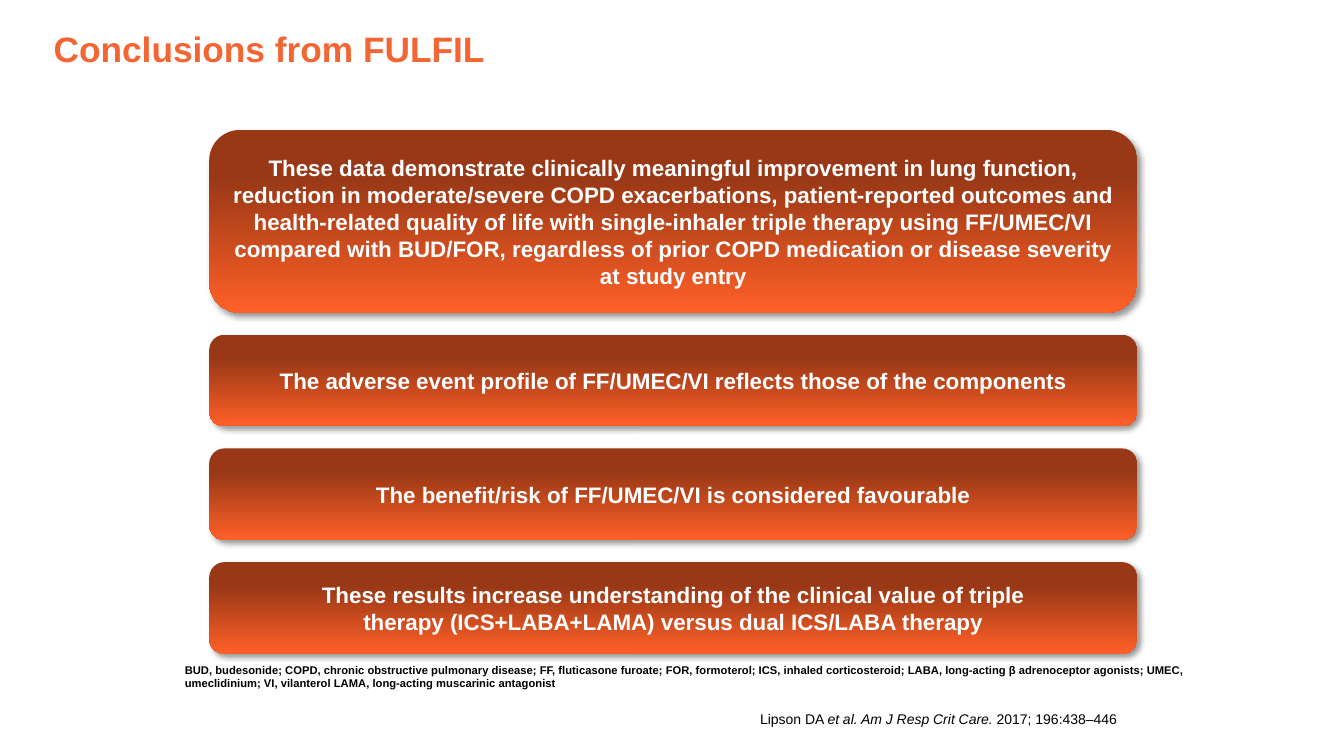
import pptx
import pptx.dml.color
import pptx.enum.shapes
import pptx.enum.text
import pptx.oxml.ns
import pptx.util
from lxml import etree

Pt = pptx.util.Pt
ALIGN = pptx.enum.text.PP_ALIGN
ANCHOR = pptx.enum.text.MSO_ANCHOR
qn = pptx.oxml.ns.qn

COLORS = {
    "title": "F36633",
    "dark": "993816",
    "bright": "FF6027",
    "light": "FFFFFF",
    "ink": "000000",
}


def rgb(name):
    return pptx.dml.color.RGBColor.from_string(COLORS[name])


def write(box, *spans, size, color="ink", bold=False, align=ALIGN.LEFT, anchor=ANCHOR.TOP,
          margins=(7.2, 3.6), line_spacing=None):
    """Fill the box with one paragraph; a span is a (text, italic) pair, "\n" breaks the line."""
    frame = box.text_frame
    frame.word_wrap = True
    frame.vertical_anchor = anchor
    frame.margin_left = frame.margin_right = Pt(margins[0])
    frame.margin_top = frame.margin_bottom = Pt(margins[1])
    para = frame.paragraphs[0]
    para.alignment = align
    para.line_spacing = line_spacing
    for text, italic in spans:
        for number, line in enumerate(text.split("\n")):
            if number:
                para.add_line_break()
            span = para.add_run()
            span.text = line
            font = span.font
            font.name, font.size = "Arial", Pt(size)
            font.bold, font.italic = bold, italic
            font.color.rgb = rgb(color)


class ConclusionPage:
    def __init__(self, deck):
        self.page = deck.slides.add_slide(deck.slide_layouts[6])

    def label(self, left, top, width, height, *spans, **style):
        box = self.page.shapes.add_textbox(Pt(left), Pt(top), Pt(width), Pt(height))
        write(box, *spans, **style)

    def panel(self, left, top, width, height, text):
        """Rounded box with a gradient, a soft shadow and centred text."""
        box = self.page.shapes.add_shape(
            pptx.enum.shapes.MSO_SHAPE.ROUNDED_RECTANGLE,
            Pt(left), Pt(top), Pt(width), Pt(height))
        box.fill.gradient()
        box.fill.gradient_angle = 270
        for stop, position, color in zip(box.fill.gradient_stops, (0.26, 1), ("dark", "bright")):
            stop.position = position
            stop.color.rgb = rgb(color)
        box.line.fill.background()
        self.add_shadow(box)
        write(box, (text, False), size=16, color="light", bold=True, align=ALIGN.CENTER,
              anchor=ANCHOR.MIDDLE, margins=(6, 6))

    def add_shadow(self, box):
        box.shadow.inherit = False
        effects = box._element.spPr.find(qn("a:effectLst"))
        shadow = etree.SubElement(effects, qn("a:outerShdw"), blurRad=str(Pt(4)),
                                  dist=str(Pt(3)), dir="2700000", algn="tl", rotWithShape="0")
        color = etree.SubElement(shadow, qn("a:srgbClr"), val=COLORS["ink"])
        etree.SubElement(color, qn("a:alpha"), val="40000")


CONCLUSIONS = [
    (130.5, "These data demonstrate clinically meaningful improvement in lung function, "
            "reduction in moderate/severe COPD exacerbations, patient-reported outcomes and "
            "health-related quality of life with single-inhaler triple therapy using FF/UMEC/VI "
            "compared with BUD/FOR, regardless of prior COPD medication or disease severity "
            "at study entry"),
    (65.5, "The adverse event profile of FF/UMEC/VI reflects those of the components"),
    (65.5, "The benefit/risk of FF/UMEC/VI is considered favourable"),
    (65.5, "These results increase understanding of the clinical value of triple\n"
           "therapy (ICS+LABA+LAMA) versus dual ICS/LABA therapy"),
]
PANEL_GAP = 15.7
ABBREVIATIONS = (
    "BUD, budesonide; COPD, chronic obstructive pulmonary disease; FF, fluticasone furoate; "
    "FOR, formoterol; ICS, inhaled corticosteroid; LABA, long-acting β adrenoceptor agonists; "
    "UMEC, umeclidinium; VI, vilanterol LAMA, long-acting muscarinic antagonist")


def main():
    deck = pptx.Presentation()
    deck.slide_width, deck.slide_height = Pt(960), Pt(540)
    page = ConclusionPage(deck)

    page.label(38.3, 23, 795.6, 26.6, ("Conclusions from FULFIL", False), size=25.2,
               color="title", bold=True, anchor=ANCHOR.BOTTOM, margins=(0, 0))
    page.label(168.5, 500.4, 643.7, 24.5, ("Lipson DA ", False),
               ("et al. Am J Resp Crit Care. ", True), ("2017; 196:438–446", False),
               size=10, align=ALIGN.RIGHT, anchor=ANCHOR.BOTTOM, margins=(14.4, 14.4),
               line_spacing=0.85)

    top = 92.9
    for height, text in CONCLUSIONS:
        page.panel(149.4, top, 663, height, text)
        top += height + PANEL_GAP

    page.label(124.9, 470.3, 735, 26.6, (ABBREVIATIONS, False), size=8, bold=True)
    deck.save("out.pptx")


if __name__ == "__main__":
    main()
